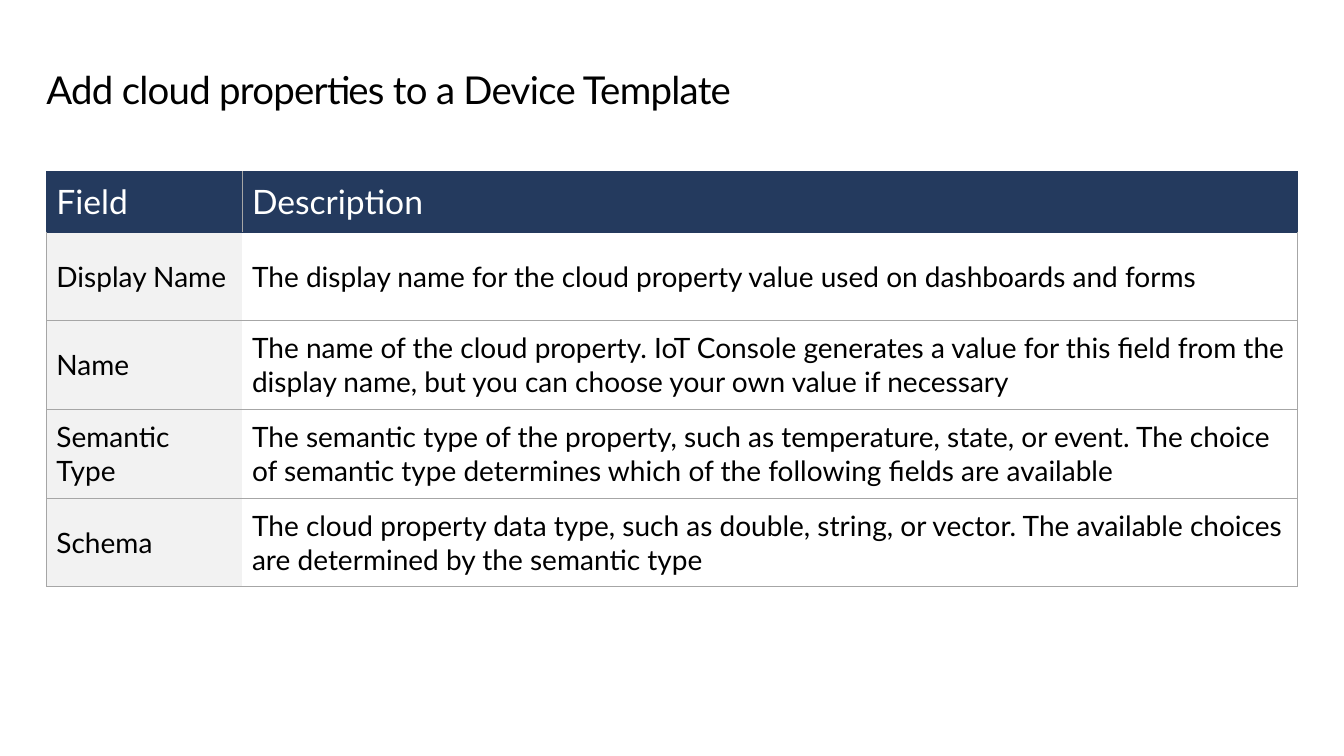
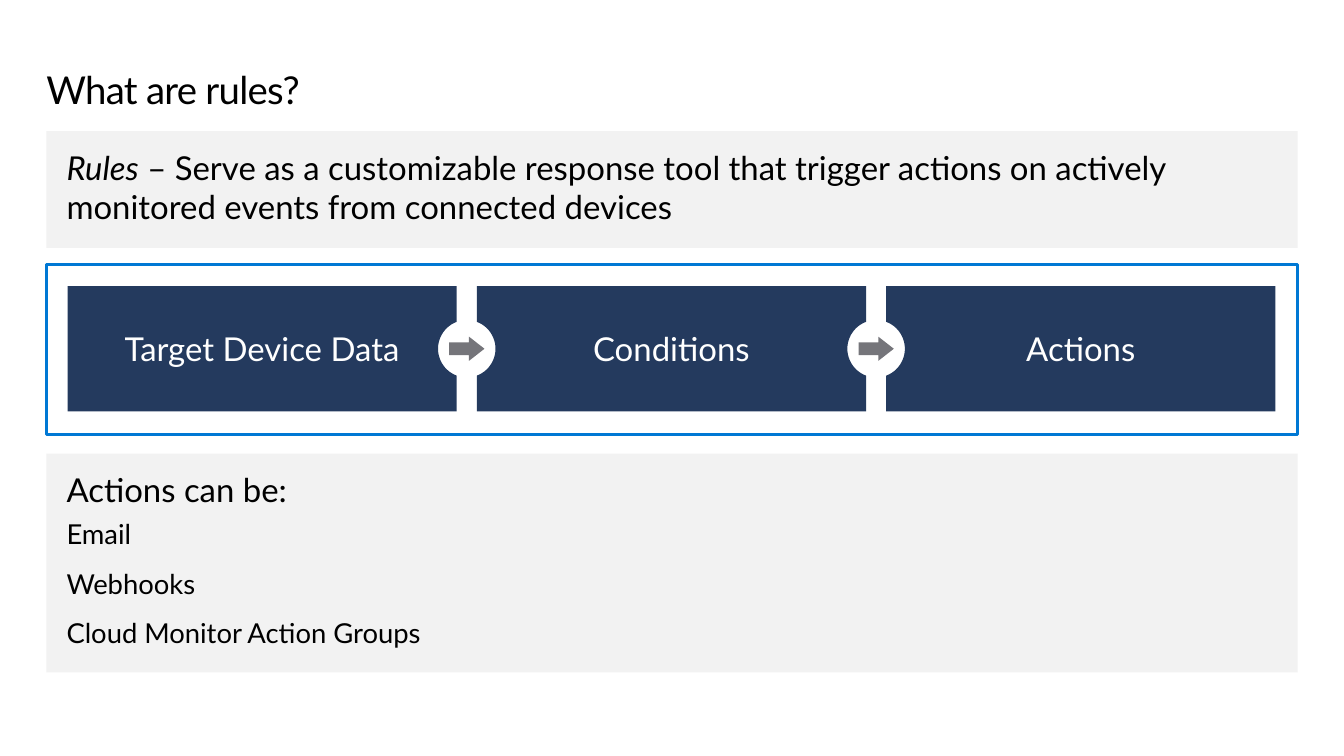
"""Build two slides on device templates and rules."""
import math
from dataclasses import dataclass

from lxml import etree
from pptx import Presentation
from pptx import util as u
from pptx.dml.color import RGBColor
from pptx.enum import shapes, text
from pptx.oxml import ns


@dataclass(frozen=True)
class Theme:
    """Colours, font and type sizes shared by the slides."""
    font: str = "Lato"
    ink: str = "000000"
    white: str = "FFFFFF"
    navy: str = "243A5E"
    pale: str = "F2F2F2"
    rule: str = "A6A6A6"
    accent: str = "0078D4"
    arrow: str = "75757A"
    title: float = 27.4
    lead: float = 23.5
    item: float = 19.6
    table_head: float = 24
    table_body: float = 20


THEME = Theme()
LEFT, WIDTH = 0.46, 12.41

FIELDS = [
    ("Field", "Description"),
    ("Display Name", "The display name for the cloud property value used on dashboards and forms"),
    ("Name", "The name of the cloud property. IoT Console generates a value for this field "
             "from the display name, but you can choose your own value if necessary"),
    ("Semantic Type", "The semantic type of the property, such as temperature, state, or event. "
                      "The choice of semantic type determines which of the following fields are available"),
    ("Schema", "The cloud property data type, such as double, string, or vector. "
               "The available choices are determined by the semantic type"),
]
STAGES = ["Target Device Data", "Conditions", "Actions"]
ACTIONS = ["Email", "Webhooks", "Cloud Monitor Action Groups"]


def colour(code):
    """Turn a hex code into a colour."""
    return RGBColor.from_string(code)


def inches(*lengths):
    """Turn several numbers into lengths."""
    return [u.Inches(length) for length in lengths]


def add_run(para, words, size, ink=THEME.ink, italic=False):
    """Add one formatted run to a paragraph."""
    span = para.add_run()
    span.text = words
    span.font.name = THEME.font
    span.font.size = u.Pt(size)
    span.font.color.rgb = colour(ink)
    span.font.italic = italic
    return span


def set_frame(frame, side, end, anchor):
    """Set wrapping, insets and vertical anchor of a text frame."""
    frame.word_wrap = True
    frame.margin_left = frame.margin_right = u.Inches(side)
    frame.margin_top = frame.margin_bottom = u.Inches(end)
    frame.vertical_anchor = anchor


def add_page(deck, heading):
    """Add a title-only slide with the shared title style."""
    page = deck.slides.add_slide(deck.slide_layouts[5])
    box = page.shapes.title
    box.left, box.top, box.width, box.height = inches(LEFT, 0.68, WIDTH, 0.44)
    set_frame(box.text_frame, 0, 0, text.MSO_ANCHOR.TOP)
    box.text_frame.auto_size = text.MSO_AUTO_SIZE.SHAPE_TO_FIT_TEXT
    para = box.text_frame.paragraphs[0]
    para.alignment = text.PP_ALIGN.LEFT
    para.line_spacing = u.Pt(31.4)
    span = add_run(para, heading, THEME.title)
    span.font._element.set("spc", "-50")
    return page


def paint(shape, fill=None, line=None, weight=2.25):
    """Give a shape its fill and line, without a shadow."""
    shape.shadow.inherit = False
    if fill:
        shape.fill.solid()
        shape.fill.fore_color.rgb = colour(fill)
    else:
        shape.fill.background()
    if line:
        shape.line.color.rgb = colour(line)
        shape.line.width = u.Pt(weight)
    else:
        shape.line.fill.background()


def add_box(page, kind, place, **look):
    """Add a painted preset shape."""
    box = page.shapes.add_shape(kind, *inches(*place))
    paint(box, **look)
    return box


def add_note(page, top, height, paragraphs):
    """Add a pale full-width panel of left-aligned paragraphs of runs."""
    box = add_box(page, shapes.MSO_SHAPE.RECTANGLE, (LEFT, top, WIDTH, height), fill=THEME.pale)
    frame = box.text_frame
    set_frame(frame, 0.2, 0.16, text.MSO_ANCHOR.TOP)
    for index, runs in enumerate(paragraphs):
        para = frame.add_paragraph() if index else frame.paragraphs[0]
        para.alignment = text.PP_ALIGN.LEFT
        if index:
            para.space_before = para.space_after = u.Pt(5.9)
        for words, size, italic in runs:
            add_run(para, words, size, italic=italic)


def notch(x, y, radius, offset, facing):
    """List the points of a circular bite, swept from facing + spread to facing - spread."""
    spread, steps = math.acos(offset / radius), 24
    angles = [facing + spread * (1 - 2 * step / steps) for step in range(steps + 1)]
    return [(x + radius * math.cos(a), y + radius * math.sin(a)) for a in angles]


def add_stages(page, labels):
    """Add a row of panels with round notches and an arrow in each gap."""
    left, top, width, height, gap, radius = 0.67, 2.84, 3.86, 1.24, 0.2, 0.285
    middle, bottom = top + height / 2, top + height
    for index, label in enumerate(labels):
        start = left + index * (width + gap)
        end = start + width
        has_next = index < len(labels) - 1
        points = [(start, top), (end, top)]
        if has_next:
            points += notch(end + gap / 2, middle, radius, gap / 2, math.pi)
        points += [(end, bottom), (start, bottom)]
        if index:
            points += notch(start - gap / 2, middle, radius, gap / 2, 0)
        outline = [inches(*point) for point in points]
        builder = page.shapes.build_freeform(*outline[0])
        builder.add_line_segments(outline[1:], close=True)
        panel = builder.convert_to_shape()
        paint(panel, fill=THEME.navy)
        set_frame(panel.text_frame, 0.1, 0.1, text.MSO_ANCHOR.MIDDLE)
        para = panel.text_frame.paragraphs[0]
        para.alignment = text.PP_ALIGN.CENTER
        add_run(para, label, THEME.lead, THEME.white)
        if has_next:
            place = (end + gap / 2 - 0.175, middle - 0.12, 0.35, 0.24)
            arrow = add_box(page, shapes.MSO_SHAPE.RIGHT_ARROW, place, fill=THEME.arrow)
            arrow.adjustments[0], arrow.adjustments[1] = 0.53, 0.64


def set_borders(cell, **sides):
    """Draw the L, R, T and B borders of a cell, or hide those without a colour."""
    properties = cell._tc.get_or_add_tcPr()
    for side in "LRTB":
        line = etree.SubElement(properties, ns.qn(f"a:ln{side}"), w=str(u.Pt(0.5)))
        if sides[side]:
            fill = etree.SubElement(line, ns.qn("a:solidFill"))
            etree.SubElement(fill, ns.qn("a:srgbClr"), val=sides[side])
        else:
            etree.SubElement(line, ns.qn("a:noFill"))


def add_field_table(page, rows):
    """Add the two-column table with a navy header and a pale first column."""
    widths, heights = [1.94, 10.47], [0.6] + [0.88] * (len(rows) - 1)
    place = inches(LEFT, 1.7, WIDTH, sum(heights))
    table = page.shapes.add_table(len(rows), len(widths), *place).table
    table.horz_banding = False
    for column, width in zip(table.columns, widths):
        column.width = u.Inches(width)
    for r, (row, height) in enumerate(zip(rows, heights)):
        table.rows[r].height = u.Inches(height)
        head = r == 0
        outer, inner = (THEME.navy, THEME.rule) if head else (THEME.rule, None)
        for c, words in enumerate(row):
            cell = table.cell(r, c)
            set_borders(cell, L=inner if c else outer, R=outer if c else inner,
                        T=THEME.navy if r < 2 else THEME.rule, B=outer)
            fill = THEME.navy if head else None if c else THEME.pale
            if fill:
                cell.fill.solid()
                cell.fill.fore_color.rgb = colour(fill)
            else:
                cell.fill.background()
            cell.vertical_anchor = text.MSO_ANCHOR.MIDDLE
            cell.margin_left = cell.margin_right = u.Inches(0.1)
            cell.margin_top = cell.margin_bottom = u.Inches(0.08)
            span = add_run(cell.text_frame.paragraphs[0], words,
                           THEME.table_head if head else THEME.table_body,
                           THEME.white if head else THEME.ink)
            span.font.bold = False


def main():
    """Build and save the deck."""
    deck = Presentation()
    deck.slide_width, deck.slide_height = inches(13.33, 7.5)

    page = add_page(deck, "Add cloud properties to a Device Template")
    add_field_table(page, FIELDS)

    page = add_page(deck, "What are rules?")
    add_note(page, 1.3, 1.16, [[
        ("Rules", THEME.lead, True),
        (" – Serve as a customizable response tool that trigger actions on actively "
         "monitored events from connected devices", THEME.lead, False),
    ]])
    add_note(page, 4.5, 2.17, [[("Actions can be:", THEME.lead, False)]]
             + [[(action, THEME.item, False)] for action in ACTIONS])
    add_box(page, shapes.MSO_SHAPE.RECTANGLE, (LEFT, 2.62, WIDTH, 1.69), line=THEME.accent)
    add_stages(page, STAGES)

    deck.save("out.pptx")


if __name__ == "__main__":
    main()
